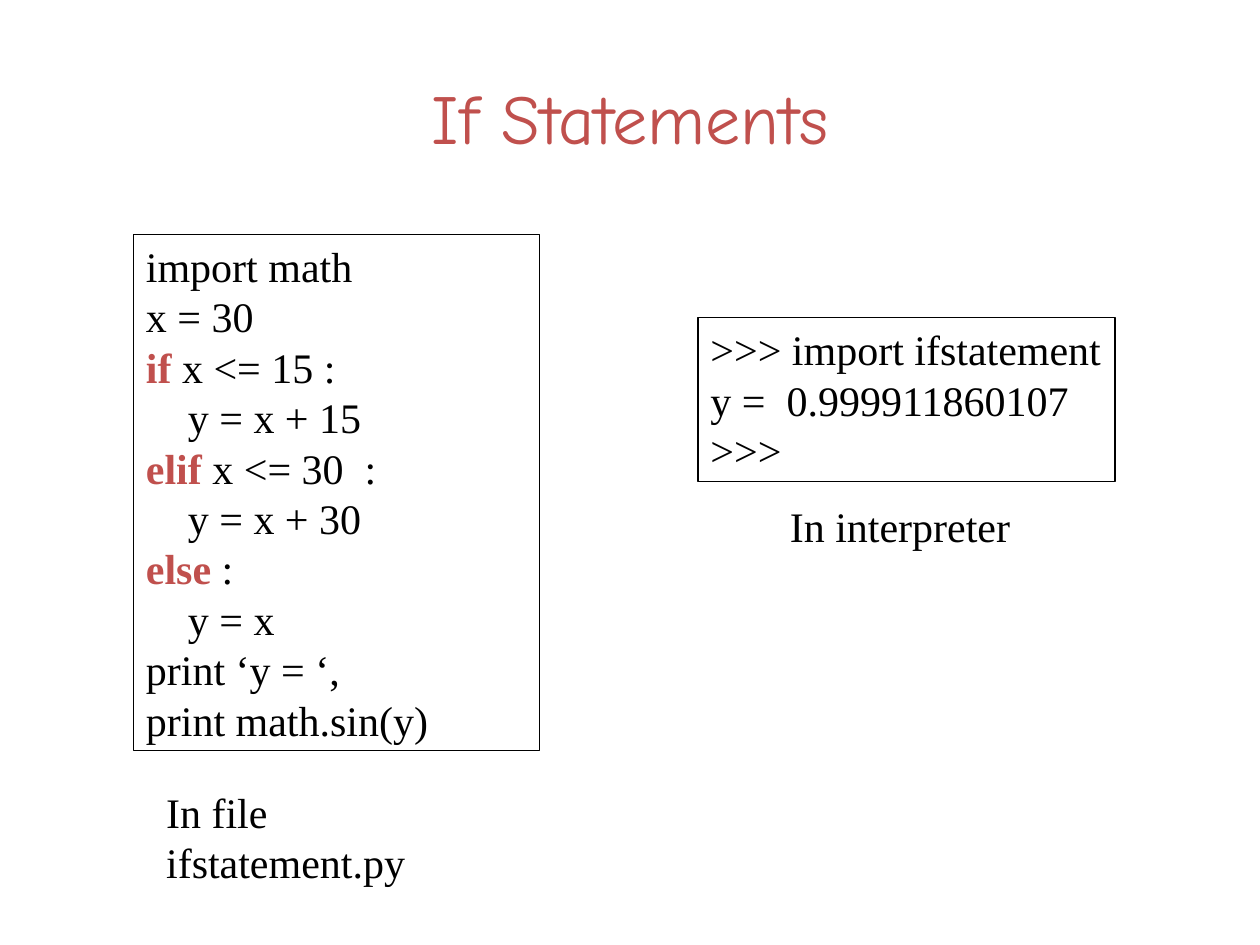
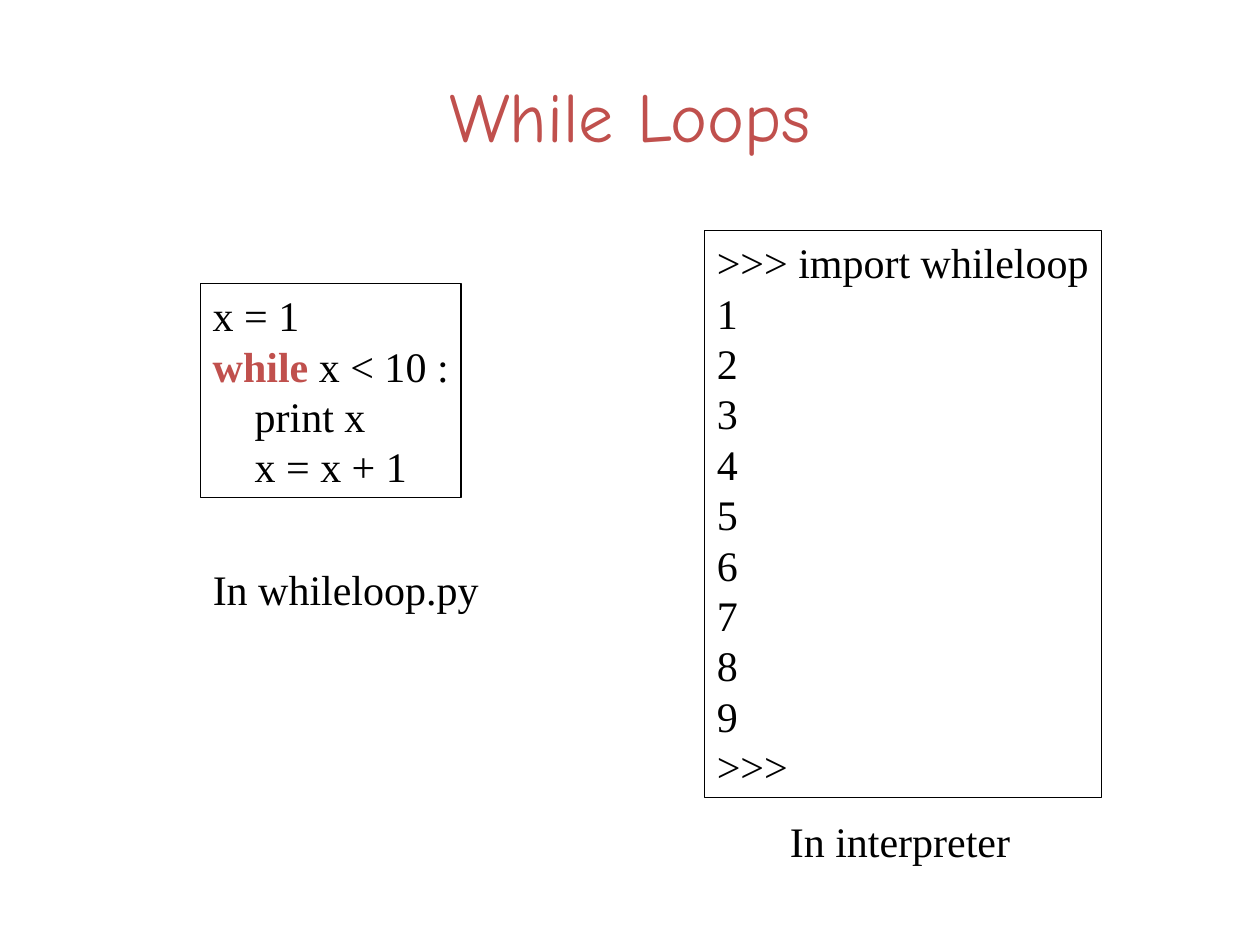
from dataclasses import dataclass

from pptx import Presentation
from pptx.dml.color import RGBColor
from pptx.enum.shapes import MSO_SHAPE
from pptx.enum.text import MSO_ANCHOR, MSO_AUTO_SIZE, PP_ALIGN
from pptx.util import Inches, Pt


@dataclass(frozen=True)
class Theme:
    ink: RGBColor = RGBColor(0x00, 0x00, 0x00)
    accent: RGBColor = RGBColor(0xC0, 0x50, 0x4D)
    title_font: str = "Comic Neue"
    body_font: str = "Times New Roman"
    title_size: float = 40
    body_size: float = 24
    pitch: float = 28.8
    border: float = 0.75


THEME = Theme()
KEYWORDS = ("if", "elif", "else", "while")


def write(frame, text, font=THEME.body_font, size=THEME.body_size,
          color=THEME.ink, align=PP_ALIGN.LEFT, pitch=THEME.pitch):
    """Fill the frame line by line, with a leading keyword bold in the accent."""
    for index, line in enumerate(text.split("\n")):
        para = frame.paragraphs[0] if index == 0 else frame.add_paragraph()
        para.alignment = align
        if pitch:
            para.line_spacing = Pt(pitch)
        first, gap, rest = line.partition(" ")
        marked = first in KEYWORDS
        for part, strong in ((first, True), (gap + rest, False)) if marked else ((line, False),):
            run = para.add_run()
            run.text = part
            run.font.name = font
            run.font.size = Pt(size)
            run.font.bold = strong
            run.font.color.rgb = THEME.accent if strong else color


class Deck:
    def __init__(self, theme):
        self.theme = theme
        self.show = Presentation()
        self.show.slide_width = Inches(10)
        self.show.slide_height = Inches(7.5)
        self.slide = None

    def title(self, text, left, top, width, height):
        """Start a slide with a centred title."""
        self.slide = self.show.slides.add_slide(self.show.slide_layouts[5])
        shape = self.slide.shapes.title
        shape.left, shape.top = Inches(left), Inches(top)
        shape.width, shape.height = Inches(width), Inches(height)
        shape.text_frame.vertical_anchor = MSO_ANCHOR.MIDDLE
        write(shape.text_frame, text, font=self.theme.title_font,
              size=self.theme.title_size, color=self.theme.accent,
              align=PP_ALIGN.CENTER, pitch=None)

    def code(self, text, left, top, width, wrap=False):
        """Draw a framed listing, as tall as its lines."""
        lines = text.count("\n") + 1
        height = 0.1 + lines * self.theme.pitch / 72
        box = self.slide.shapes.add_shape(
            MSO_SHAPE.RECTANGLE, Inches(left), Inches(top), Inches(width), Inches(height))
        box.shadow.inherit = False
        box.fill.background()
        box.line.color.rgb = self.theme.ink
        box.line.width = Pt(self.theme.border)
        self.fit(box.text_frame, text, wrap)

    def label(self, text, left, top, width):
        box = self.slide.shapes.add_textbox(
            Inches(left), Inches(top), Inches(width), Inches(0.5))
        self.fit(box.text_frame, text, False)

    def fit(self, frame, text, wrap):
        frame.word_wrap = wrap
        frame.auto_size = MSO_AUTO_SIZE.SHAPE_TO_FIT_TEXT
        frame.vertical_anchor = MSO_ANCHOR.TOP
        write(frame, text)


IF_CODE = """import math
x = 30
if x <= 15 :
    y = x + 15
elif x <= 30  :
    y = x + 30
else :
    y = x
print ‘y = ‘,
print math.sin(y)"""

IF_OUTPUT = """>>> import ifstatement
y =  0.999911860107
>>>"""

WHILE_CODE = """x = 1
while x < 10 :
    print x
    x = x + 1"""

WHILE_OUTPUT = "\n".join([">>> import whileloop", *map(str, range(1, 10)), ">>>"])


def main():
    deck = Deck(THEME)

    deck.title("If Statements", 0.5, 0.3, 9, 1.25)
    deck.code(IF_CODE, 1.06, 1.86, 3.22, wrap=True)
    deck.label("In file ifstatement.py", 1.22, 6.19, 2.98)
    deck.code(IF_OUTPUT, 5.54, 2.52, 3.31, wrap=True)
    deck.label("In interpreter", 6.17, 3.92, 1.95)

    deck.title("While Loops", 0.75, 0.36, 8.5, 1.1)
    deck.code(WHILE_CODE, 1.59, 2.25, 2.07)
    deck.code(WHILE_OUTPUT, 5.59, 1.83, 3.15)
    deck.label("In whileloop.py", 1.59, 4.42, 2.31)
    deck.label("In interpreter", 6.17, 6.42, 1.95)

    deck.show.save("out.pptx")


if __name__ == "__main__":
    main()
